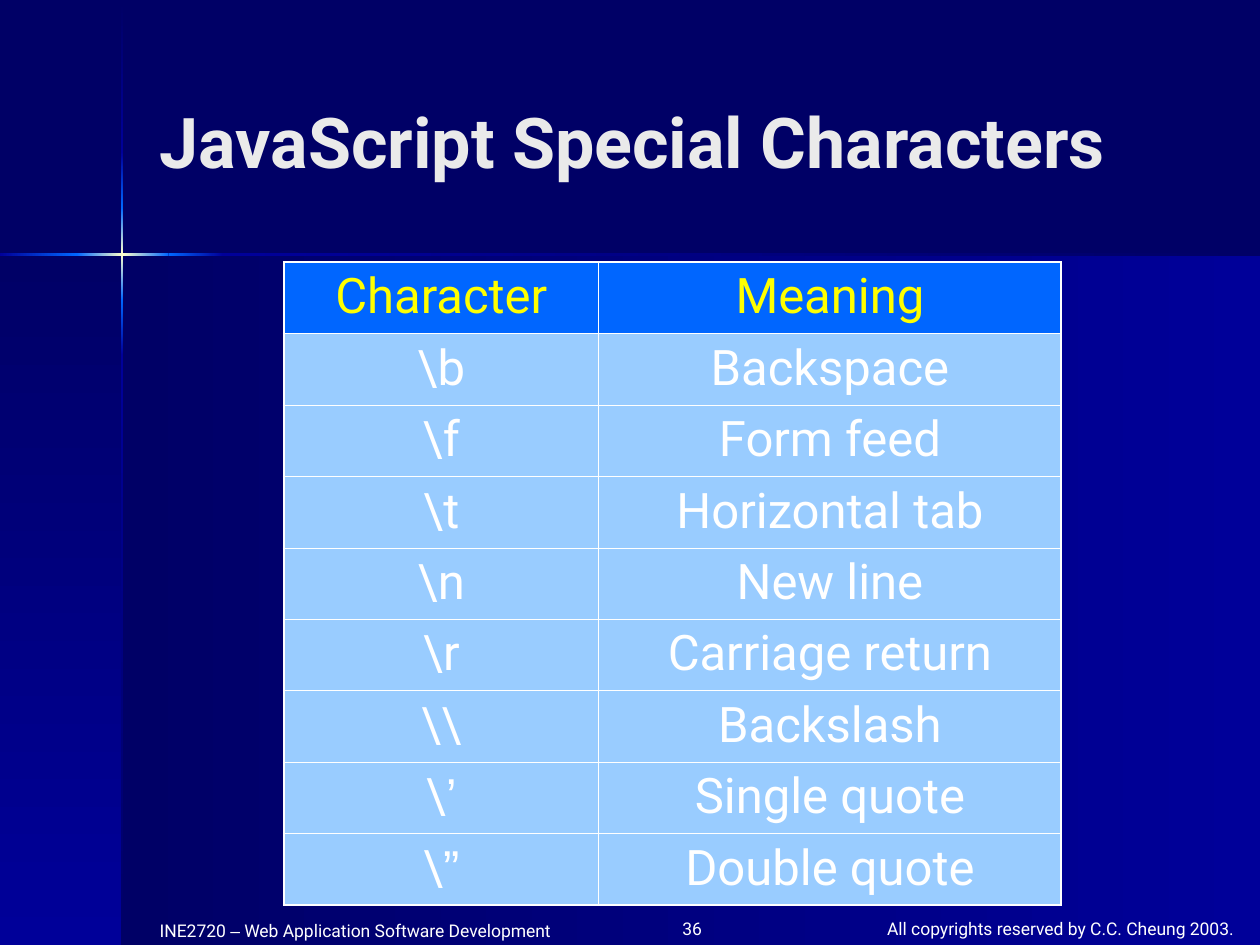
from itertools import groupby, pairwise

from lxml import etree
from pptx import Presentation
from pptx import util as u
from pptx.dml.color import RGBColor
from pptx.enum import shapes, text
from pptx.oxml.ns import qn

NAVY = RGBColor(0x00, 0x00, 0x66)
BLUE = RGBColor(0x00, 0x00, 0x99)
SKY = RGBColor(0x00, 0x66, 0xFF)
PALE = RGBColor(0x99, 0xCC, 0xFF)
CREAM = RGBColor(0xFF, 0xFF, 0xCC)
WHITE = RGBColor(0xFF, 0xFF, 0xFF)
GREY = RGBColor(0xEA, 0xEA, 0xEA)
YELLOW = RGBColor(0xFF, 0xFF, 0x00)
LEFT, MID, RIGHT = text.PP_ALIGN.LEFT, text.PP_ALIGN.CENTER, text.PP_ALIGN.RIGHT

WIDE, HIGH = 25.4, 19.05
EDGE, LEVEL, THICK = 2.46, 5.13, 0.05
RAYS = [(NAVY, BLUE), (BLUE, SKY), (SKY, CREAM, SKY), (SKY, BLUE), (BLUE, NAVY)]
DOWN = [0.03, 3.07, 4.19, 6.05, 7.16, HIGH]
ACROSS = [0, 1.55, 3.4, 4.5, WIDE]
ROWS = [
    ("Character", "Meaning"),
    ("\\b", "Backspace"),
    ("\\f", "Form feed"),
    ("\\t", "Horizontal tab"),
    ("\\n", "New line"),
    ("\\r", "Carriage return"),
    ("\\\\", "Backslash"),
    ("\\’", "Single quote"),
    ("\\”", "Double quote"),
]


def write(frame, words, size=10, color=WHITE, bold=False, align=LEFT):
    para = frame.paragraphs[0]
    para.alignment = align
    for special, chars in groupby(words, lambda c: ord(c) > 127):
        run = para.add_run()
        run.text = "".join(chars)
        font = run.font
        font.name = "Arial" if special else "Roboto"
        font.size = u.Pt(size)
        font.bold = bold
        font.color.rgb = color


class Deck:
    def __init__(self):
        self.show = Presentation()
        self.show.slide_width = u.Cm(WIDE)
        self.show.slide_height = u.Cm(HIGH)
        self.slide = self.show.slides.add_slide(self.show.slide_layouts[5])
        back = self.slide.background.fill
        back.solid()
        back.fore_color.rgb = NAVY

    def blend(self, box, colors, angle=0):
        shape = self.slide.shapes.add_shape(
            shapes.MSO_SHAPE.RECTANGLE, *map(u.Cm, box))
        shape.shadow.inherit = False
        shape.line.fill.background()
        shape.fill.gradient()
        shape.fill.gradient_angle = angle
        stops = next(shape.element.iter(qn("a:gsLst")))
        for old in list(stops):
            stops.remove(old)
        for i, color in enumerate(colors):
            pos = str(100000 * i // (len(colors) - 1))
            stop = etree.SubElement(stops, qn("a:gs"), pos=pos)
            etree.SubElement(stop, qn("a:srgbClr"), val=str(color))

    def title(self, box, words):
        shape = self.slide.shapes.title
        shape.left, shape.top, shape.width, shape.height = map(u.Cm, box)
        frame = shape.text_frame
        frame.auto_size = text.MSO_AUTO_SIZE.NONE
        frame.vertical_anchor = text.MSO_ANCHOR.MIDDLE
        write(frame, words, size=40, color=GREY, bold=True)

    def label(self, box, words, align=LEFT):
        frame = self.slide.shapes.add_textbox(*map(u.Cm, box)).text_frame
        frame.word_wrap = True
        write(frame, words, align=align)

    def border(self, cell, sides):
        props = cell._tc.get_or_add_tcPr()
        for i, (side, outer) in enumerate(sides.items()):
            line = etree.Element(
                qn(f"a:ln{side}"), w=str(u.Pt(1.08 if outer else 0.45)))
            fill = etree.SubElement(line, qn("a:solidFill"))
            etree.SubElement(fill, qn("a:srgbClr"), val=str(WHITE))
            props.insert(i, line)

    def table(self, left, top, widths, high, rows):
        last = len(rows) - 1
        grid = self.slide.shapes.add_table(
            len(rows), len(widths), u.Cm(left), u.Cm(top),
            u.Cm(sum(widths)), u.Cm(high * len(rows))).table
        for col, width in zip(grid.columns, widths):
            col.width = u.Cm(width)
        for r, row in enumerate(rows):
            grid.rows[r].height = u.Cm(high)
            for c, words in enumerate(row):
                cell = grid.cell(r, c)
                cell.fill.solid()
                cell.fill.fore_color.rgb = PALE if r else SKY
                write(cell.text_frame, words, size=28,
                      color=WHITE if r else YELLOW, align=MID)
                self.border(cell, {"L": c == 0, "R": c == len(widths) - 1,
                                   "T": r == 0, "B": r == last})


def main():
    deck = Deck()
    deck.blend((EDGE, LEVEL, WIDE - EDGE, HIGH - LEVEL), (NAVY, BLUE))
    deck.blend((0, LEVEL, EDGE, HIGH - LEVEL), (NAVY, BLUE), 270)
    for (start, end), colors in zip(pairwise(DOWN), RAYS):
        deck.blend((EDGE - THICK / 2, start, THICK, end - start), colors, 270)
    for (start, end), colors in zip(pairwise(ACROSS), RAYS[1:]):
        deck.blend((start, LEVEL - THICK / 2, end - start, THICK), colors)
    deck.label((2.97, 18.42, 8.46, 0.64),
               "INE2720 – Web Application Software Development")
    deck.label((17.35, 18.39, 8.05, 0.66),
               "All copyrights reserved by C.C. Cheung 2003.", MID)
    deck.label((12.7, 18.39, 1.7, 0.66), "36", RIGHT)
    deck.title((2.97, 0.84, 21.74, 3.99), "JavaScript Special Characters")
    deck.table(5.72, 5.28, (6.35, 9.32), 1.44, ROWS)
    deck.show.save("out.pptx")


if __name__ == "__main__":
    main()
